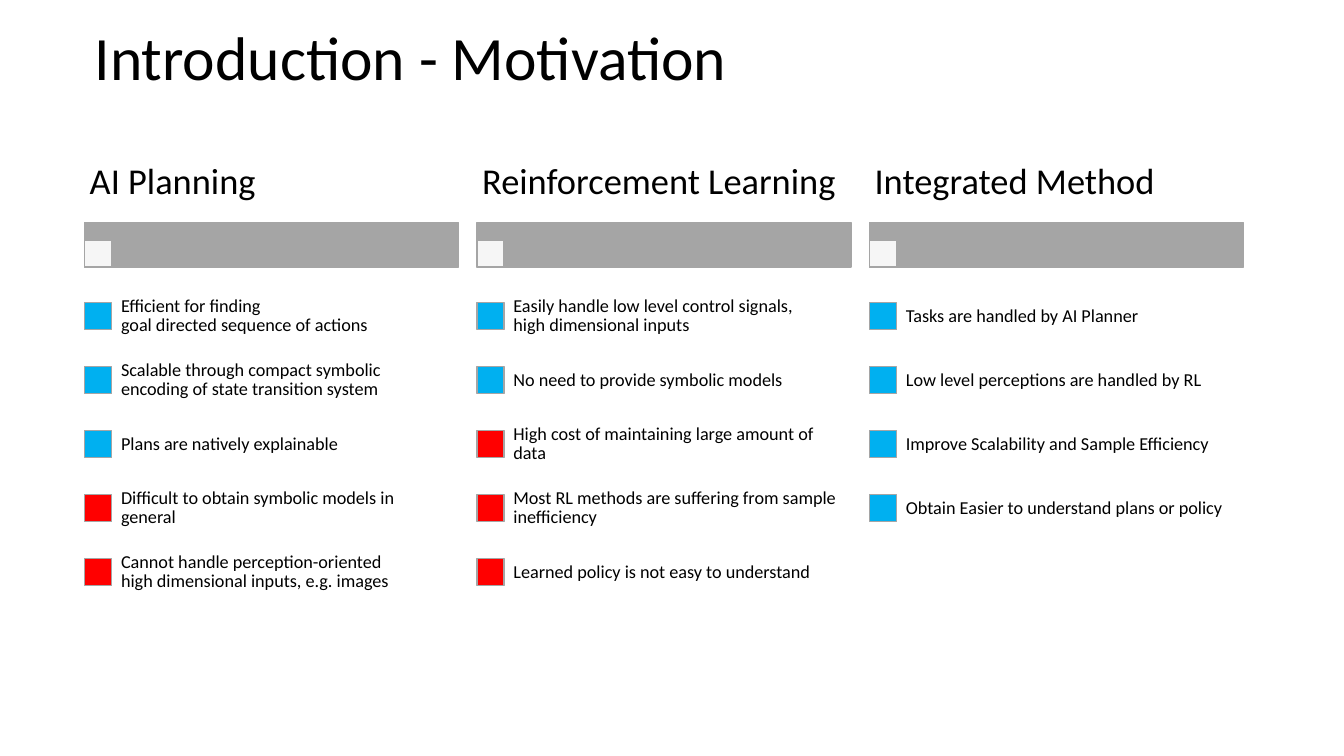
from dataclasses import dataclass

from lxml import etree
from pptx import Presentation
from pptx.dml.color import RGBColor
from pptx.enum import shapes, text
from pptx.oxml import ns
from pptx.util import Pt


@dataclass(frozen=True)
class Theme:
    font: str = "Calibri"
    ink: str = "000000"
    bar: str = "A5A5A5"
    tab: str = "FFFFFF"
    pro: str = "00B0F0"
    con: str = "FF0000"
    title_size: int = 44
    heading_size: int = 26
    item_size: int = 13


THEME = Theme()

# Grid, in points
LEFT, COLUMN_PITCH, COLUMN_WIDTH = 60.5, 280.3, 267.1
HEADING_TOP, HEADING_HEIGHT = 102.2, 56.2
BAR_TOP, BAR_HEIGHT = 159.1, 31.7
MARKER = 19.3
ITEM_TOP, ITEM_PITCH, ITEM_HEIGHT = 203.2, 45.7, 45.4
ITEM_INDENT = 18.9

# Each column: heading, advantages, drawbacks
COLUMNS = [
    ("AI Planning",
     ["Efficient for finding \ngoal directed sequence of actions",
      "Scalable through compact symbolic encoding of state transition system",
      "Plans are natively explainable"],
     ["Difficult to obtain symbolic models in general",
      "Cannot handle perception-oriented \nhigh dimensional inputs, e.g. images"]),
    ("Reinforcement Learning",
     ["Easily handle low level control signals, \nhigh dimensional inputs",
      "No need to provide symbolic models"],
     ["High cost of maintaining large amount of data",
      "Most RL methods are suffering from sample inefficiency",
      "Learned policy is not easy to understand"]),
    ("Integrated Method",
     ["Tasks are handled by AI Planner",
      "Low level perceptions are handled by RL",
      "Improve Scalability and Sample Efficiency",
      "Obtain Easier to understand plans or policy"],
     []),
]


def add_text(slide, content, left, top, width, height, size, inset_x=7.2, inset_y=7.2):
    """Add a vertically centred text box; newlines become line breaks."""
    box = slide.shapes.add_textbox(Pt(left), Pt(top), Pt(width), Pt(height))
    frame = box.text_frame
    frame.word_wrap = True
    frame.vertical_anchor = text.MSO_ANCHOR.MIDDLE
    frame.margin_left = frame.margin_right = Pt(inset_x)
    frame.margin_top = frame.margin_bottom = Pt(inset_y)
    paragraph = frame.paragraphs[0]
    paragraph.line_spacing = 0.9
    for index, line in enumerate(content.split("\n")):
        if index:
            paragraph.add_line_break()
        run = paragraph.add_run()
        run.text = line
        run.font.name = THEME.font
        run.font.size = Pt(size)
        run.font.color.rgb = RGBColor.from_string(THEME.ink)


def add_box(slide, left, top, width, height, color, opacity=100):
    """Add a filled rectangle with the grey outline."""
    shape = slide.shapes.add_shape(
        shapes.MSO_SHAPE.RECTANGLE, Pt(left), Pt(top), Pt(width), Pt(height))
    shape.shadow.inherit = False
    shape.fill.solid()
    shape.fill.fore_color.rgb = RGBColor.from_string(color)
    shape.line.color.rgb = RGBColor.from_string(THEME.bar)
    shape.line.width = Pt(1)
    if opacity < 100:
        fill_color = shape._element.spPr.find(ns.qn("a:solidFill"))[0]
        alpha = etree.SubElement(fill_color, ns.qn("a:alpha"))
        alpha.set("val", str(opacity * 1000))


def add_item(slide, content, left, top, color):
    """Add a coloured marker with its statement."""
    add_box(slide, left, top + (ITEM_HEIGHT - MARKER) / 2, MARKER, MARKER, color)
    add_text(slide, content, left + ITEM_INDENT, top,
             COLUMN_WIDTH - ITEM_INDENT, ITEM_HEIGHT, THEME.item_size)


def add_column(slide, left, heading, pros, cons):
    # Bar with its small tab, then the heading above
    add_box(slide, left, BAR_TOP, COLUMN_WIDTH, BAR_HEIGHT, THEME.bar)
    add_box(slide, left, BAR_TOP + BAR_HEIGHT - MARKER, MARKER, MARKER, THEME.tab, 90)
    add_text(slide, heading, left, HEADING_TOP, COLUMN_WIDTH, HEADING_HEIGHT,
             THEME.heading_size, 3.6, 2.9)
    # Advantages first, drawbacks after
    items = [(pro, THEME.pro) for pro in pros] + [(con, THEME.con) for con in cons]
    for row, (content, color) in enumerate(items):
        add_item(slide, content, left, ITEM_TOP + row * ITEM_PITCH, color)


def main():
    presentation = Presentation()
    presentation.slide_width, presentation.slide_height = Pt(960), Pt(540)
    slide = presentation.slides.add_slide(presentation.slide_layouts[6])

    # Title
    add_text(slide, "Introduction - Motivation", LEFT, 13, 828, 59.8,
             THEME.title_size, inset_y=3.6)

    # Comparison columns
    for index, column in enumerate(COLUMNS):
        add_column(slide, LEFT + index * COLUMN_PITCH, *column)

    presentation.save("out.pptx")


if __name__ == "__main__":
    main()
